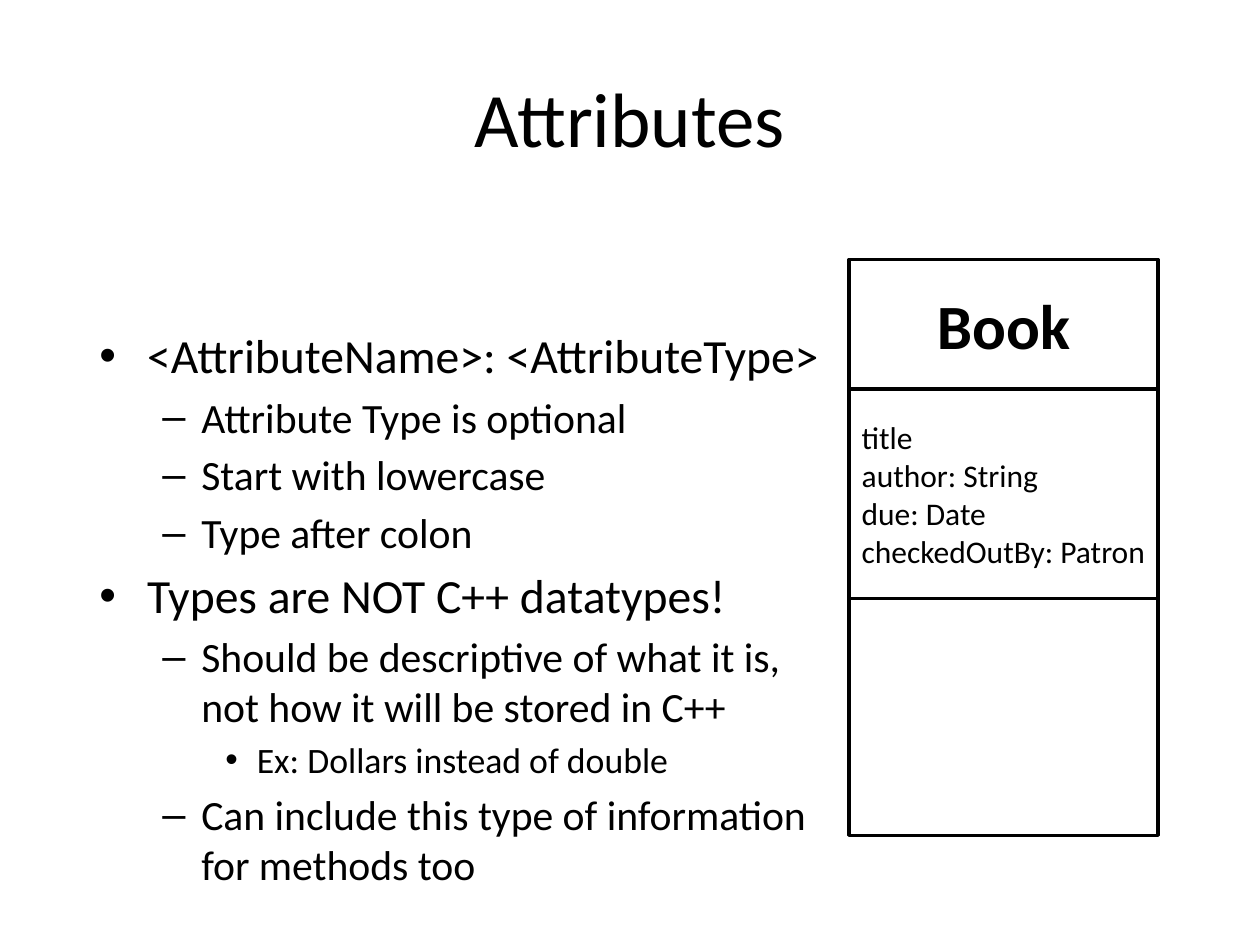
from typing import NamedTuple

from lxml import etree
from pptx import Presentation
from pptx import util as u
from pptx.dml.color import RGBColor
from pptx.enum import shapes, text
from pptx.oxml.ns import qn

COLORS = {"ink": "000000", "paper": "FFFFFF"}
FONT = "Calibri"


class Level(NamedTuple):
    """Look of one outline level."""
    bullet: str
    margin: float
    hang: float
    size: float


class Bullet(NamedTuple):
    """One line of the outline."""
    level: int
    words: str


class Compartment(NamedTuple):
    """One compartment of the class box."""
    height: float
    words: str = ""
    size: float = 18
    bold: bool = False
    align: text.PP_ALIGN = text.PP_ALIGN.LEFT


LEVELS = [
    Level("•", 0.38, 0.38, 27.2),
    Level("–", 0.81, 0.31, 23.8),
    Level("•", 1.25, 0.25, 20.4),
]
BULLETS = [
    Bullet(0, "<AttributeName>: <AttributeType>"),
    Bullet(1, "Attribute Type is optional"),
    Bullet(1, "Start with lowercase"),
    Bullet(1, "Type after colon"),
    Bullet(0, "Types are NOT C++ datatypes!"),
    Bullet(1, "Should be descriptive of what it is,\vnot how it will be stored in C++"),
    Bullet(2, "Ex: Dollars instead of double"),
    Bullet(1, "Can include this type of information\vfor methods too"),
]
BOOK = [
    Compartment(1.03, "Book", 36, True, text.PP_ALIGN.CENTER),
    Compartment(1.66, "title\nauthor: String\ndue: Date\ncheckedOutBy: Patron"),
    Compartment(1.88),
]


def rgb(name: str) -> RGBColor:
    """Look up a named colour."""
    return RGBColor.from_string(COLORS[name])


def style(p, size: float, bold: bool = False) -> None:
    """Format every run of a paragraph."""
    for r in p.runs:
        r.font.name = FONT
        r.font.size = u.Pt(size)
        r.font.bold = bold
        r.font.color.rgb = rgb("ink")


def add_title(slide, words: str) -> None:
    """Add the centred slide title."""
    sp = slide.shapes.add_textbox(u.Inches(0.5), u.Inches(0.3), u.Inches(9), u.Inches(1.25))
    tf = sp.text_frame
    tf.word_wrap = True
    tf.vertical_anchor = text.MSO_ANCHOR.MIDDLE
    tf.text = words
    p = tf.paragraphs[0]
    p.alignment = text.PP_ALIGN.CENTER
    style(p, 44)


def add_outline(slide, bullets: list[Bullet]) -> None:
    """Add the bulleted outline."""
    sp = slide.shapes.add_textbox(u.Inches(0.69), u.Inches(2), u.Inches(5.94), u.Inches(4.76))
    tf = sp.text_frame
    tf.word_wrap = True
    tf.margin_top = u.Inches(0.59)
    for i, item in enumerate(bullets):
        level = LEVELS[item.level]
        p = tf.add_paragraph() if i else tf.paragraphs[0]
        p.text = item.words
        p.level = item.level
        p.space_before = u.Pt(level.size * 0.19 if i else 0)
        style(p, level.size)
        pPr = p._p.get_or_add_pPr()
        pPr.set("marL", str(u.Inches(level.margin)))
        pPr.set("indent", str(-u.Inches(level.hang)))
        etree.SubElement(pPr, qn("a:buFont")).set("typeface", "Arial")
        etree.SubElement(pPr, qn("a:buChar")).set("char", level.bullet)


def add_class_box(slide, left: float, top: float, width: float, parts: list[Compartment]) -> None:
    """Stack the compartments of a class box."""
    for part in parts:
        sp = slide.shapes.add_shape(
            shapes.MSO_SHAPE.RECTANGLE,
            u.Inches(left), u.Inches(top), u.Inches(width), u.Inches(part.height))
        sp.shadow.inherit = False
        sp.fill.solid()
        sp.fill.fore_color.rgb = rgb("paper")
        sp.line.color.rgb = rgb("ink")
        sp.line.width = u.Pt(2)
        tf = sp.text_frame
        tf.word_wrap = True
        tf.vertical_anchor = text.MSO_ANCHOR.MIDDLE
        tf.text = part.words
        for p in tf.paragraphs:
            p.alignment = part.align
            style(p, part.size, part.bold)
        top += part.height


def main() -> None:
    """Build the slide and save it."""
    prs = Presentation()
    prs.slide_width, prs.slide_height = u.Inches(10), u.Inches(7.5)
    slide = prs.slides.add_slide(prs.slide_layouts[6])
    add_title(slide, "Attributes")
    add_outline(slide, BULLETS)
    add_class_box(slide, 6.74, 2.06, 2.45, BOOK)
    prs.save("out.pptx")


if __name__ == "__main__":
    main()
